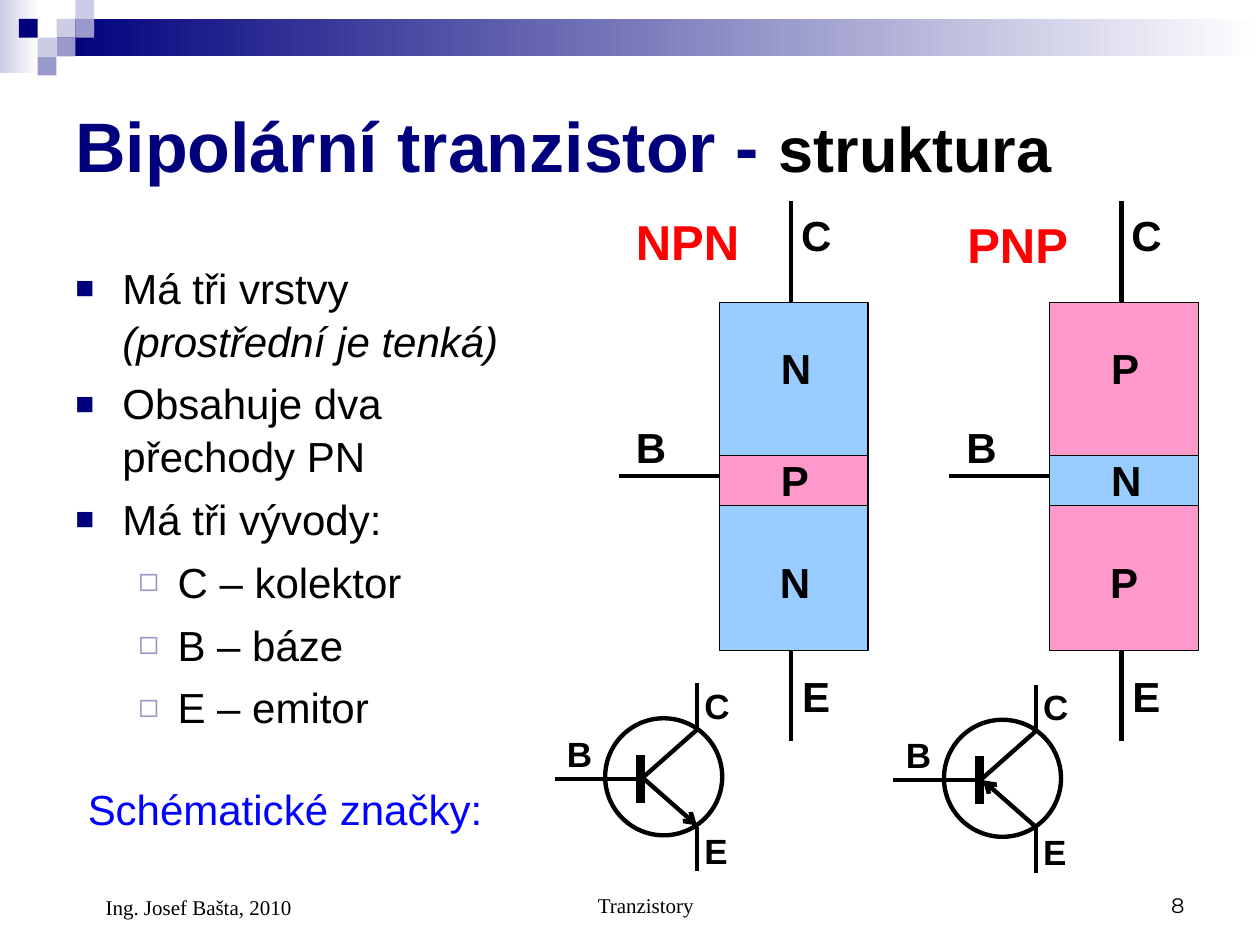
from dataclasses import dataclass

from lxml.etree import SubElement
from pptx import Presentation
from pptx.dml.color import RGBColor
from pptx.enum.shapes import MSO_CONNECTOR, MSO_SHAPE
from pptx.enum.text import MSO_ANCHOR, MSO_AUTO_SIZE, PP_ALIGN
from pptx.oxml.ns import qn
from pptx.util import Cm, Pt


@dataclass(frozen=True)
class Theme:
    """Colours, fonts and type sizes of the slide."""
    navy: str = "00007D"
    lilac: str = "9999CC"
    pale: str = "CCCCE6"
    white: str = "FFFFFF"
    black: str = "000000"
    red: str = "FF0000"
    blue: str = "0000FF"
    n_layer: str = "99CCFF"
    p_layer: str = "FF99CC"
    sans: str = "Arial"
    serif: str = "Times New Roman"
    number: str = "Montserrat"
    title: int = 40
    subtitle: int = 36
    heading: int = 28
    body: int = 24
    small: int = 20
    footer: int = 12
    outline: float = 0.75
    wire: float = 2.5
    electrode: float = 5


THEME = Theme()
LAYERS = {"N": THEME.n_layer, "P": THEME.p_layer}


def apply_format(target, values):
    """Set each named attribute of the target."""
    for name, value in values.items():
        setattr(target, name, value)


def add_run(paragraph, text, size, color=THEME.black, font=THEME.sans, **style):
    """Append formatted text to a paragraph."""
    run = paragraph.add_run()
    run.text = text
    apply_format(run.font, {"size": Pt(size), "name": font, **style})
    run.font.color.rgb = RGBColor.from_string(color)


def add_frame(slide, left, top, width, height, **frame_format):
    """Add an empty wrapping text box and return its text frame."""
    frame = slide.shapes.add_textbox(Cm(left), Cm(top), Cm(width), Cm(height)).text_frame
    apply_format(frame, {"word_wrap": True, **frame_format})
    return frame


def add_label(slide, text, box, size, color=THEME.black, bold=True):
    """Add a one-line label that fits its text."""
    frame = add_frame(slide, *box, auto_size=MSO_AUTO_SIZE.SHAPE_TO_FIT_TEXT)
    add_run(frame.paragraphs[0], text, size, color, bold=bold)


def add_area(slide, box, fill=None, outline=None, kind=MSO_SHAPE.RECTANGLE):
    """Add a shape with a plain, two-colour gradient or empty fill."""
    area = slide.shapes.add_shape(kind, *map(Cm, box))
    area.shadow.inherit = False
    if fill is None:
        area.fill.background()
    elif isinstance(fill, tuple):
        area.fill.gradient()
        area.fill.gradient_angle = 0
        for stop, color, position in zip(area.fill.gradient_stops, fill, (0, 1)):
            stop.color.rgb = RGBColor.from_string(color)
            stop.position = position
    else:
        area.fill.solid()
        area.fill.fore_color.rgb = RGBColor.from_string(fill)
    if outline is None:
        area.line.fill.background()
    else:
        area.line.color.rgb = RGBColor.from_string(THEME.black)
        area.line.width = Pt(outline)


def add_wire(slide, start, end, width=THEME.wire, arrow=False):
    """Add a straight black wire, optionally with an arrow at its end."""
    wire = slide.shapes.add_connector(MSO_CONNECTOR.STRAIGHT, *map(Cm, (*start, *end)))
    wire.line.color.rgb = RGBColor.from_string(THEME.black)
    wire.line.width = Pt(width)
    properties = wire.line._get_or_add_ln().getparent()
    if arrow:
        SubElement(properties.find(qn("a:ln")), qn("a:tailEnd"), type="arrow")
    SubElement(properties, qn("a:effectLst"))


def add_bullet(paragraph, mark, color, percent, margin, hanging):
    """Give a paragraph a coloured bullet and a hanging indent."""
    properties = paragraph._p.get_or_add_pPr()
    properties.set("marL", str(Cm(margin)))
    properties.set("indent", str(-Cm(hanging)))
    SubElement(SubElement(properties, qn("a:buClr")), qn("a:srgbClr"), val=color)
    SubElement(properties, qn("a:buSzPct"), val=str(percent * 1000))
    SubElement(properties, qn("a:buFont"), typeface=THEME.sans)
    SubElement(properties, qn("a:buChar"), char=mark)


def add_banner(slide):
    """Draw the gradient band and the mosaic of squares at the top."""
    cell = 0.38
    add_area(slide, (0, 0, 0.79, 1.47), (THEME.pale, THEME.white))
    add_area(slide, (3 * cell, cell, 25.4 - 3 * cell, 2 * cell), (THEME.navy, THEME.white))
    mosaic = {THEME.pale: [(3, 1), (4, 0), (2, 2)],
              THEME.lilac: [(4, 1), (3, 2), (2, 3)],
              THEME.navy: [(1, 1)]}
    for color, cells in mosaic.items():
        for column, row in cells:
            add_area(slide, (column * cell, row * cell, cell, cell), color)


def add_title(slide):
    """Write the two-part title."""
    frame = add_frame(slide, 1.27, 1.27, 22.86, 3.3, vertical_anchor=MSO_ANCHOR.MIDDLE)
    heading = frame.paragraphs[0]
    add_run(heading, "Bipolární tranzistor - ", THEME.title, THEME.navy, bold=True)
    add_run(heading, "struktura", THEME.subtitle, bold=True)


def add_properties(slide):
    """Write the bulleted list of transistor properties."""
    main_level = ("■", THEME.navy, 75, 0.95, 0.95)
    sub_level = ("◻", THEME.lilac, 80, 2.06, 0.79)
    items = [("Má tři vrstvy ", "(prostřední je tenká)", main_level),
             ("Obsahuje dva přechody PN", "", main_level),
             ("Má tři vývody:", "", main_level),
             ("C – kolektor", "", sub_level),
             ("B – báze", "", sub_level),
             ("E – emitor", "", sub_level)]
    frame = add_frame(slide, 1.27, 5.13, 9.09, 10.8)
    for index, (text, remark, level) in enumerate(items):
        item = frame.add_paragraph() if index else frame.paragraphs[0]
        apply_format(item, {"space_before": Pt(6), "line_spacing": 1.04})
        add_bullet(item, *level)
        add_run(item, text, THEME.body)
        if remark:
            add_run(item, remark, THEME.body, italic=True)


def add_structure(slide, layers, x):
    """Draw the layered transistor with its three leads."""
    outer, inner, _ = layers
    add_wire(slide, (x, 9.6), (x + 2.54, 9.6))
    add_wire(slide, (x + 3.48, 4.06), (x + 3.48, 14.94))
    add_area(slide, (x + 2.03, 6.1, 3, 7.01), LAYERS[outer], THEME.outline)
    add_area(slide, (x + 2.03, 9.19, 3, 1), LAYERS[inner], THEME.outline)
    labels = [(outer, 3.02, 6.78), (inner, 3.02, 9.04), (outer, 3, 11.1),
              ("E", 3.45, 13.39), ("C", 3.43, 4.09), ("B", 0.1, 8.38)]
    for text, dx, top in labels:
        add_label(slide, text, (x + dx, top, 1.22, 1.27), THEME.body)


def add_symbol(slide, x, y, arrow_outward):
    """Draw the schematic symbol with its emitter arrow."""
    def at(dx, dy):
        """Place an offset relative to the symbol."""
        return x + dx, y + dy

    add_area(slide, (*at(1.02, 0.81), 2.36, 2.36), None, THEME.wire, MSO_SHAPE.OVAL)
    add_wire(slide, at(1.73, 1.55), at(1.73, 2.51), THEME.electrode)
    emitter = [at(1.8, 2.03), at(2.87, 2.97)]
    add_wire(slide, *(emitter if arrow_outward else reversed(emitter)), arrow=True)
    wires = [((1.75, 2.03), (2.87, 1.04)), ((1.7, 2.03), (0, 2.03)),
             ((2.87, 0.99), (2.87, 0.1)), ((2.87, 3.89), (2.87, 3))]
    for start, end in wires:
        add_wire(slide, at(*start), at(*end))
    for text, dx, dy, width in [("C", 2.77, 0, 0.99), ("B", 0, 0.97, 1.14), ("E", 2.77, 2.92, 1.14)]:
        add_label(slide, text, (*at(dx, dy), width, 1.12), THEME.small)


def add_footer(slide, text, box, font, align, margin=0):
    """Write one of the footer fields."""
    frame = add_frame(slide, *box, vertical_anchor=MSO_ANCHOR.BOTTOM)
    field = frame.paragraphs[0]
    field.alignment = align
    field._p.get_or_add_pPr().set("marL", str(Cm(margin)))
    add_run(field, text, THEME.footer, font=font)


def main():
    """Build and save the slide."""
    deck = Presentation()
    apply_format(deck, {"slide_width": Cm(25.4), "slide_height": Cm(19.05)})
    slide = deck.slides.add_slide(deck.slide_layouts[6])
    add_banner(slide)
    add_title(slide)
    add_properties(slide)
    variants = [("NPN", 12.47, 12.57, 4.14, 11.18, 13.67),
                ("PNP", 19.13, 19.25, 4.19, 18.01, 13.7)]
    for kind, structure_x, name_x, name_y, symbol_x, symbol_y in variants:
        add_structure(slide, kind, structure_x)
        add_label(slide, kind, (name_x, name_y, 2.67, 1.45), THEME.heading, THEME.red)
        add_symbol(slide, symbol_x, symbol_y, arrow_outward=kind == "NPN")
    add_label(slide, "Schématické značky:", (1.52, 15.67, 8.46, 1.27), THEME.body, THEME.blue, bold=False)
    add_footer(slide, "Tranzistory", (8.69, 17.35, 8.05, 1.27), THEME.serif, PP_ALIGN.CENTER, 0.61)
    add_footer(slide, "8", (18.21, 17.35, 5.92, 1.27), THEME.number, PP_ALIGN.RIGHT)
    add_footer(slide, "Ing. Josef Bašta, 2010", (1.27, 17.35, 5.92, 1.32), THEME.serif, PP_ALIGN.LEFT, 0.61)
    deck.save("out.pptx")


if __name__ == "__main__":
    main()
